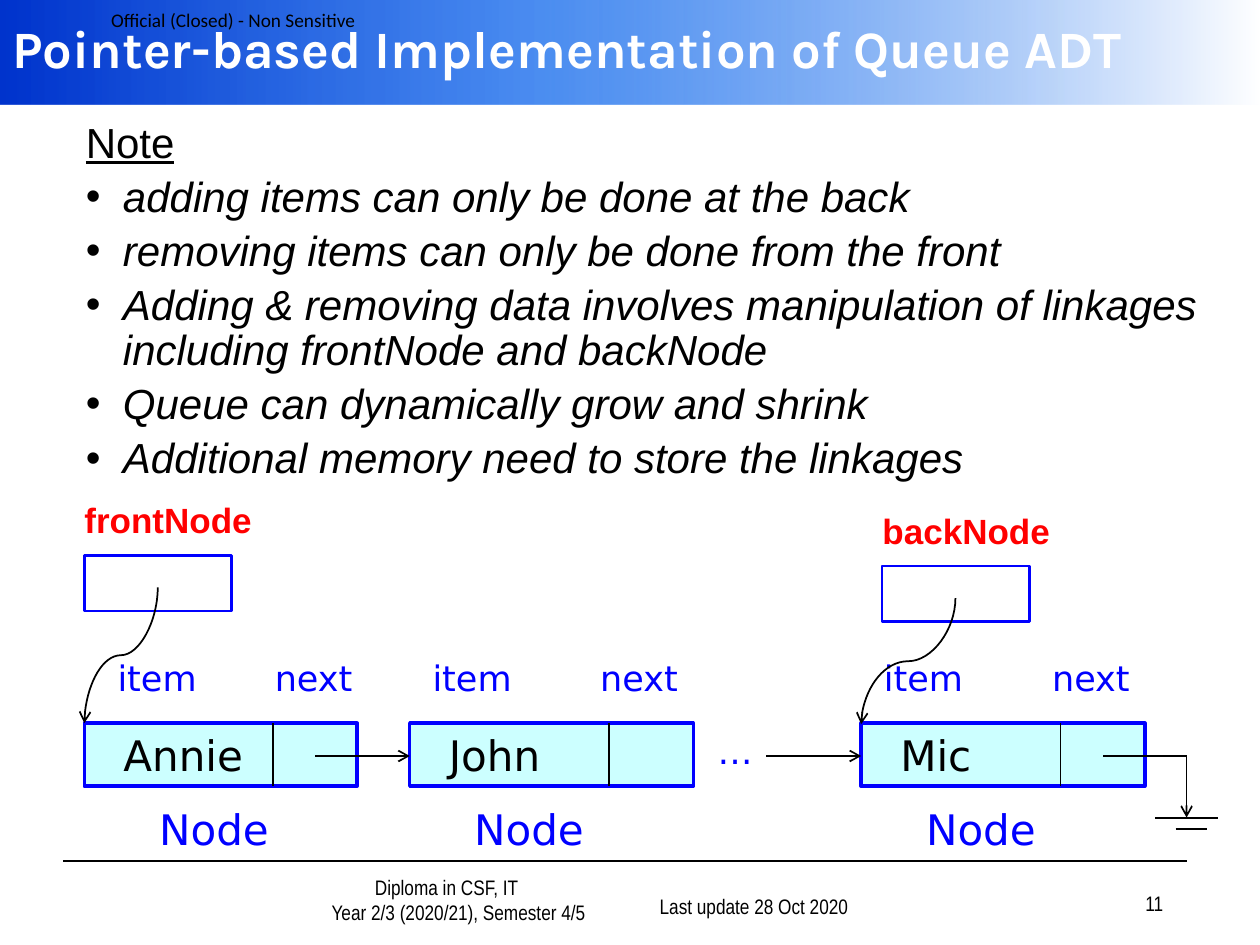
from lxml import etree
from pptx import Presentation
from pptx.dml.color import RGBColor
from pptx.enum.shapes import MSO_CONNECTOR, MSO_SHAPE
from pptx.enum.text import MSO_ANCHOR, PP_ALIGN
from pptx.oxml import parse_xml
from pptx.oxml.ns import nsdecls, qn
from pptx.util import Cm, Pt

RECT = MSO_SHAPE.RECTANGLE
LINE, CURVE = MSO_CONNECTOR.STRAIGHT, MSO_CONNECTOR.CURVE
TOP, MID, LOW = MSO_ANCHOR.TOP, MSO_ANCHOR.MIDDLE, MSO_ANCHOR.BOTTOM
LEFT, CENTER, RIGHT = PP_ALIGN.LEFT, PP_ALIGN.CENTER, PP_ALIGN.RIGHT
HUES = {"black": "000000", "white": "FFFFFF", "blue": "0000FF",
        "red": "FF0000", "cyan": "CCFFFF", "deep": "0033CC", "mid": "005EEB"}
INK = {name: RGBColor.from_string(code) for name, code in HUES.items()}
SANS, NARROW = "DejaVu Sans", "Arial Narrow"

deck = Presentation()
deck.slide_width, deck.slide_height = Cm(25.4), Cm(19.05)
shapes = deck.slides.add_slide(deck.slide_layouts[6]).shapes


def write(spot, words, size, font, hue, align=LEFT, anchor=TOP, bold=None, shape=None):
    """Put lines of text in a new text box at spot, or in the given shape."""
    shape = shape or shapes.add_textbox(*map(Cm, spot))
    frame = shape.text_frame
    frame.word_wrap = True
    frame.vertical_anchor = anchor
    for i, line in enumerate(words.split("\n")):
        para = frame.paragraphs[0] if i == 0 else frame.add_paragraph()
        para.alignment = align
        run = para.add_run()
        run.text = line
        run.font.size, run.font.name, run.font.bold = Pt(size), font, bold
        run.font.color.rgb = INK[hue]
    return frame


def link(x1, y1, x2, y2, arrow=False, kind=LINE):
    """Draw a thin black connector, with an open arrowhead if asked."""
    wire = shapes.add_connector(kind, Cm(x1), Cm(y1), Cm(x2), Cm(y2))
    wire.line.color.rgb = INK["black"]
    wire.line.width = Pt(1)
    props = wire._element.spPr
    if arrow:
        etree.SubElement(props.find(qn("a:ln")), qn("a:tailEnd"), type="arrow")
    etree.SubElement(props, qn("a:effectLst"))
    return wire


# Footer
foot = write((4.37, 17.7, 8, 1.07),
             "Diploma in CSF, IT\nYear 2/3 (2020/21), Semester 4/5",
             12, NARROW, "black", CENTER, LOW)
for para, inset in zip(foot.paragraphs, (1.27, 1.75)):
    para._p.get_or_add_pPr().set("marL", str(Cm(inset)))
link(1.27, 17.35, 23.93, 17.35)
write((12.07, 17.58, 5.28, 1.07), "Last update 28 Oct 2020", 12, NARROW, "black", RIGHT, LOW)
write((18.42, 17.52, 5.28, 1.07), "11", 12, NARROW, "black", RIGHT, LOW)

# Title band
band = shapes.add_shape(RECT, 0, 0, Cm(25.4), Cm(2.11))
band.shadow.inherit = False
band.line.fill.background()
band.fill.gradient()
band.fill.gradient_angle = 0
stops = band._element.spPr.find(qn("a:gradFill")).find(qn("a:gsLst"))
for stop in list(stops):
    stops.remove(stop)
for place, hue, alpha in ((0, "deep", 100), (43, "mid", 70), (100, "white", 100)):
    stops.append(parse_xml(
        f'<a:gs {nsdecls("a")} pos="{place * 1000}"><a:srgbClr val="{HUES[hue]}">'
        f'<a:alpha val="{alpha * 1000}"/></a:srgbClr></a:gs>'))
mark = write((2.24, 0, 5.4, 0.79), "Official (Closed) - Non Sensitive",
             11, "Calibri", "black", anchor=MID)
mark.margin_left = mark.margin_right = mark.margin_top = mark.margin_bottom = 0
write((0, 0, 26.46, 1.9), "Pointer-based Implementation of Queue ADT",
      30, "Karla", "white", anchor=MID, bold=True)

# Notes
notes = write((1.48, 2.33, 23.07, 8.05), "\n".join((
    "Note",
    "adding items can only be done at the back",
    "removing items can only be done from the front",
    "Adding & removing data involves manipulation of linkages "
    "including frontNode and backNode",
    "Queue can dynamically grow and shrink",
    "Additional memory need to store the linkages")), 24, "Arial", "black")
for i, para in enumerate(notes.paragraphs):
    para.line_spacing = 0.9
    font = para.runs[0].font
    if i == 0:
        font.underline = True
        continue
    para.space_before = Pt(5)
    font.italic = True
    props = para._p.get_or_add_pPr()
    props.set("marL", str(Cm(0.75)))
    props.set("indent", str(-Cm(0.75)))
    etree.SubElement(props, qn("a:buFont"), typeface="Arial")
    etree.SubElement(props, qn("a:buChar"), char="•")

# Nodes: name, left, width, divider, item, next and caption positions
for name, left, width, split, item, after, cap in (
        ("Annie", 1.7, 5.5, 5.5, 2.12, 5.29, 2.96),
        ("John", 8.26, 5.72, 12.28, 8.47, 11.85, 9.31),
        ("Mic", 17.36, 5.72, 21.38, 17.57, 20.96, 18.42)):
    node = shapes.add_shape(RECT, Cm(left), Cm(14.58), Cm(width), Cm(1.27))
    node.shadow.inherit = False
    node.fill.solid()
    node.fill.fore_color.rgb = INK["cyan"]
    node.line.color.rgb = INK["blue"]
    node.line.width = Pt(2)
    write(None, name, 24, SANS, "black", shape=node).margin_left = Cm(0.79)
    link(split, 14.58, split, 15.85)
    write((item, 13.1, 3.38, 1.12), "item", 20, SANS, "blue")
    write((after, 13.1, 3.2, 1.12), "next", 20, SANS, "blue")
    write((cap, 16.08, 3.81, 1.27), "Node", 24, SANS, "blue")

# Links between nodes and the end mark
write((13.13, 14.58, 3.38, 1.12), "…", 20, SANS, "blue", CENTER)
for start in (6.35, 15.45):
    link(start, 15.24, start + 1.91, 15.24, True)
link(23.92, 15.24, 22.23, 15.24)
link(23.92, 15.22, 23.92, 16.48, True)
link(23.29, 16.49, 24.56, 16.49)
link(23.7, 16.71, 24.34, 16.71)

# Pointers: name, box, label left, curve start and end
for name, left, top, label, x1, y1, x2, y2 in (
        ("frontNode", 1.7, 11.2, 1.27, 3.18, 11.84, 1.7, 14.58),
        ("backNode", 17.78, 11.41, 17.36, 19.26, 12.06, 17.36, 14.6)):
    cell = shapes.add_shape(RECT, Cm(left), Cm(top), Cm(2.97), Cm(1.12))
    cell.shadow.inherit = False
    cell.fill.background()
    cell.line.color.rgb = INK["blue"]
    cell.line.width = Pt(1.5)
    write((label, top - 1.27, 4.24, 1.12), name, 20, "Arial", "red", CENTER, bold=True)
    # A quarter turn makes the curve leave downwards
    midx, midy = (x1 + x2) / 2, (y1 + y2) / 2
    dx, dy = (y2 - y1) / 2, (x1 - x2) / 2
    bend = link(midx - dx, midy - dy, midx + dx, midy + dy, True, CURVE)
    bend._element.spPr.find(qn("a:xfrm")).set("rot", "5400000")

deck.save("out.pptx")
